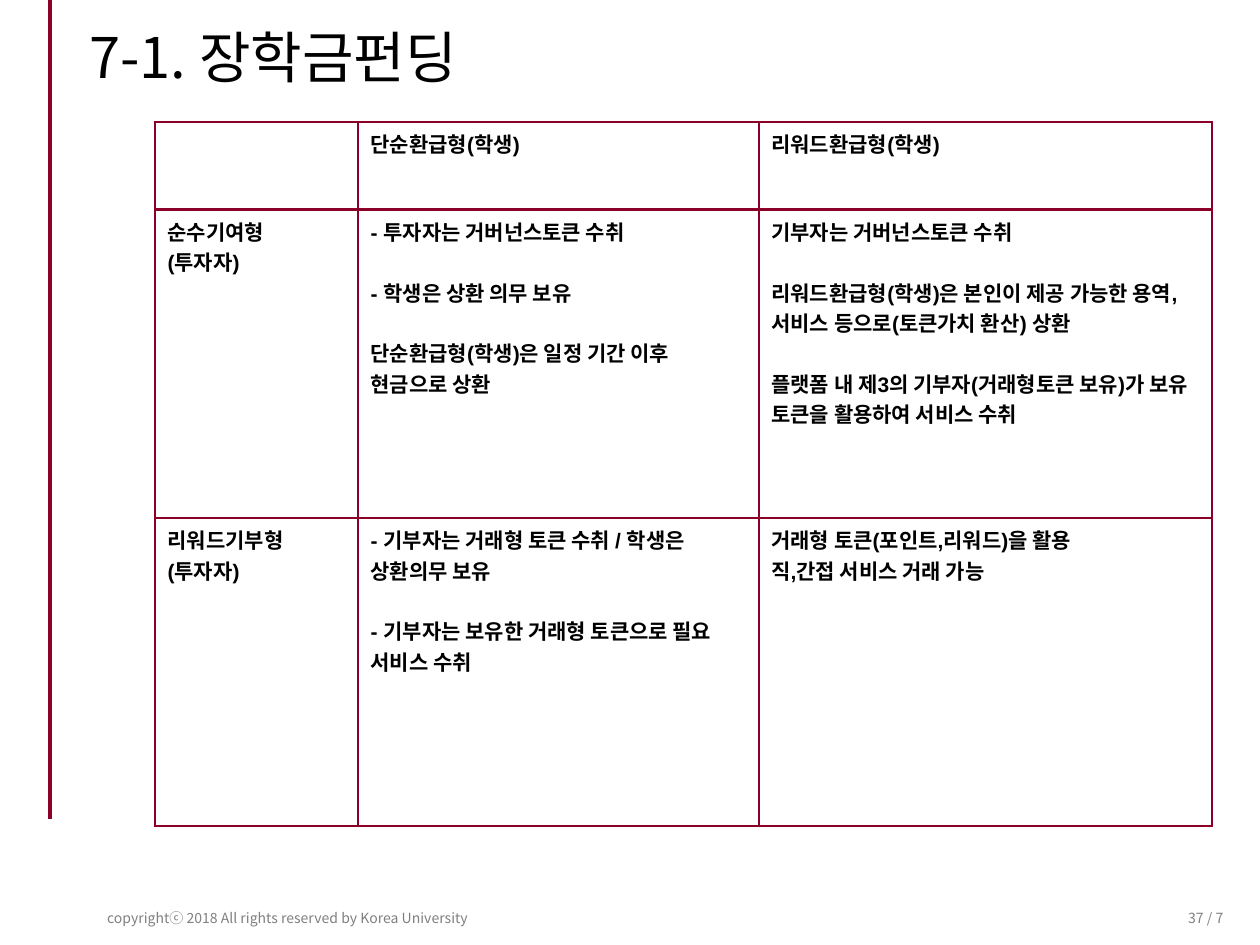
"""Build the scholarship funding slide with its token comparison table."""
from lxml import etree
from pptx import Presentation
from pptx.dml.color import RGBColor
from pptx.enum import shapes, text
from pptx.oxml import ns
from pptx.util import Pt

COLORS = {"text": "000000", "muted": "808080", "accent": "8B0028", "paper": "FFFFFF"}
SANS, BODY = "Noto Sans CJK KR", "Arial"
TITLE = "7-1. 장학금펀딩"
COPYRIGHT = "copyrightⓒ 2018 All rights reserved by Korea University"
PAGE = "37 / 7"

# Each cell is a list of blocks; a block's lines stay together.
ROWS = [
    [[], [["단순환급형(학생)"]], [["리워드환급형(학생)"]]],
    [
        [["순수기여형", "(투자자)"]],
        [["- 투자자는 거버넌스토큰 수취"], ["- 학생은 상환 의무 보유"],
         ["단순환급형(학생)은 일정 기간 이후 현금으로 상환"]],
        [["기부자는 거버넌스토큰 수취"],
         ["리워드환급형(학생)은 본인이 제공 가능한 용역, 서비스 등으로(토큰가치 환산) 상환"],
         ["플랫폼 내 제3의 기부자(거래형토큰 보유)가 보유 토큰을 활용하여 서비스 수취"]],
    ],
    [
        [["리워드기부형", "(투자자)"]],
        [["- 기부자는 거래형 토큰 수취 / 학생은 상환의무 보유"],
         ["- 기부자는 보유한 거래형 토큰으로 필요 서비스 수취"]],
        [["거래형 토큰(포인트,리워드)을 활용", "직,간접 서비스 거래 가능"]],
    ],
]
COL_WIDTHS = [116, 229, 259]
ROW_HEIGHTS = [50, 176.2, 176.2]
BLOCK_GAP = 17.4


def rgb(name):
    return RGBColor.from_string(COLORS[name])


def style(p, size, color, font, bold=False):
    for r in p.runs:
        r.font.size, r.font.bold, r.font.name = Pt(size), bold, font
        r.font.color.rgb = rgb(color)
        etree.SubElement(r.font._element, ns.qn("a:ea"), typeface=SANS)


def add_text(s, box, content, size, color, align, anchor):
    tf = s.shapes.add_textbox(*map(Pt, box)).text_frame
    tf.word_wrap, tf.vertical_anchor = True, anchor
    tf.text = content
    p = tf.paragraphs[0]
    p.alignment = align
    style(p, size, color, SANS)
    return tf


def add_border(cell, side, width):
    tc_pr = cell._tc.get_or_add_tcPr()
    ln = etree.SubElement(tc_pr, ns.qn(f"a:ln{side}"), w=str(Pt(width)))
    fill = etree.SubElement(ln, ns.qn("a:solidFill"))
    etree.SubElement(fill, ns.qn("a:srgbClr"), val=COLORS["accent"])


def fill_cell(cell, blocks):
    lines = [(line, i > 0 and j == 0)
             for i, block in enumerate(blocks) for j, line in enumerate(block)]
    cell.text_frame.text = "\n".join(line for line, _ in lines)
    for p, (_, gap) in zip(cell.text_frame.paragraphs, lines):
        if gap:
            p.space_before = Pt(BLOCK_GAP)
        style(p, 12, "text", BODY, bold=True)


def add_table(s):
    shape = s.shapes.add_table(len(ROWS), len(COL_WIDTHS), Pt(88.6), Pt(69.8),
                               Pt(sum(COL_WIDTHS)), Pt(sum(ROW_HEIGHTS)))
    table = shape.table
    table.first_row = table.horz_banding = False
    for col, width in zip(table.columns, COL_WIDTHS):
        col.width = Pt(width)
    for i, (row, height) in enumerate(zip(table.rows, ROW_HEIGHTS)):
        row.height = Pt(height)
        for cell, blocks in zip(row.cells, ROWS[i]):
            for side in "LRTB":
                header_rule = (i, side) in ((0, "B"), (1, "T"))
                add_border(cell, side, 2 if header_rule else 1)
            cell.fill.solid()
            cell.fill.fore_color.rgb = rgb("paper")
            fill_cell(cell, blocks)


def main():
    prs = Presentation()
    prs.slide_width, prs.slide_height = Pt(720), Pt(540)
    s = prs.slides.add_slide(prs.slide_layouts[6])
    align, anchor = text.PP_ALIGN, text.MSO_ANCHOR

    tf = add_text(s, (656.6, 517.7, 47.5, 13.7), PAGE, 8, "muted", align.RIGHT, anchor.MIDDLE)
    tf.margin_left = tf.margin_right = Pt(5)
    tf.margin_top = tf.margin_bottom = Pt(2.9)
    add_text(s, (42.5, 516.2, 244, 17.3), COPYRIGHT, 8, "muted", align.CENTER, anchor.TOP)

    rule = s.shapes.add_connector(shapes.MSO_CONNECTOR.STRAIGHT,
                                  Pt(28.8), Pt(0), Pt(28.8), Pt(468))
    rule.line.color.rgb, rule.line.width = rgb("accent"), Pt(2.25)
    etree.SubElement(rule._element.spPr, ns.qn("a:effectLst"))

    tf = add_text(s, (43.9, 13.7, 521.3, 40.3), TITLE, 32, "text", align.LEFT, anchor.TOP)
    tf.paragraphs[0].line_spacing = 0.9
    add_table(s)
    prs.save("out.pptx")


if __name__ == "__main__":
    main()
